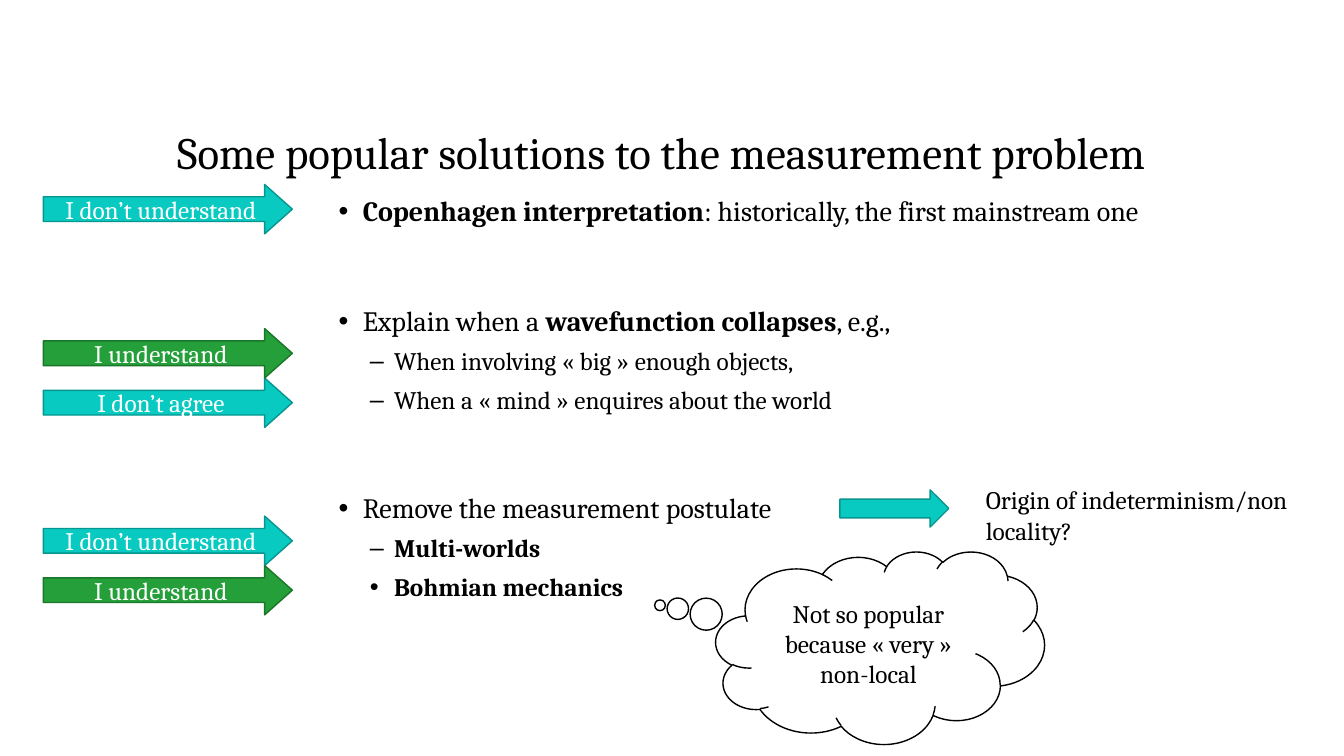
from dataclasses import dataclass

from lxml import etree
from pptx import Presentation
from pptx.dml.color import RGBColor
from pptx.enum.shapes import MSO_SHAPE
from pptx.enum.text import MSO_ANCHOR, PP_ALIGN
from pptx.oxml.ns import qn
from pptx.util import Inches, Pt

ARROW = MSO_SHAPE.RIGHT_ARROW
CLOUD = MSO_SHAPE.CLOUD_CALLOUT
TOP, MIDDLE, BOTTOM = MSO_ANCHOR.TOP, MSO_ANCHOR.MIDDLE, MSO_ANCHOR.BOTTOM
CENTER = PP_ALIGN.CENTER


@dataclass(frozen=True)
class Theme:
    font: str = "Cambria"
    bullet_font: str = "Arial"
    black: str = "000000"
    white: str = "FFFFFF"
    teal: tuple = ("08CAC1", "06958F")
    green: tuple = ("259F39", "1B762A")
    title_size: int = 32
    item_size: int = 20
    small_size: int = 18
    line_spacing: float = 0.9


THEME = Theme()

# Each item: level, bullet, space before in points, (text, bold) spans
SOLUTIONS = [
    (0, "•", 0, [("Copenhagen interpretation", True),
                 (": historically, the first mainstream one", False)]),
    (0, "•", 57, [("Explain when a ", False), ("wavefunction collapses", True),
                  (", e.g.,", False)]),
    (1, "–", 8, [("When involving « big » enough objects,", False)]),
    (1, "–", 8, [("When a « mind » enquires about the world", False)]),
    (0, "•", 57, [("Remove the measurement postulate", False)]),
    (1, "–", 8, [("Multi-worlds", True)]),
    (1, "•", 8, [("Bohmian mechanics", True)]),
]

# Each verdict: top, text, (fill, line)
VERDICTS = [
    (1.83, "I don’t understand", THEME.teal),
    (3.75, "I don’t agree", THEME.teal),
    (5.12, "I don’t understand", THEME.teal),
    (3.26, "I understand", THEME.green),
    (5.61, "I understand", THEME.green),
]


def style_span(span, size, color=THEME.black, bold=False):
    span.font.name = THEME.font
    span.font.size = Pt(size)
    span.font.bold = bold
    span.font.color.rgb = RGBColor.from_string(color)


def add_box(page, left, top, width, height, anchor=TOP):
    box = page.shapes.add_textbox(Inches(left), Inches(top),
                                  Inches(width), Inches(height))
    box.text_frame.word_wrap = True
    box.text_frame.vertical_anchor = anchor
    return box


def add_text(page, text, place, size, anchor=TOP, spacing=1.0):
    box = add_box(page, *place, anchor)
    box.text_frame.text = text
    para = box.text_frame.paragraphs[0]
    para.line_spacing = spacing
    style_span(para.runs[0], size)


def add_bullet(para, level, mark):
    para.level = level
    properties = para._p.get_or_add_pPr()
    properties.set("marL", str(Inches(0.55 if level else 0.24)))
    properties.set("indent", str(Inches(-0.24)))
    etree.SubElement(properties, qn("a:buFont"), typeface=THEME.bullet_font)
    etree.SubElement(properties, qn("a:buChar"), char=mark)


def add_list(page, items, place):
    frame = add_box(page, *place).text_frame
    for index, (level, mark, space, spans) in enumerate(items):
        para = frame.add_paragraph() if index else frame.paragraphs[0]
        add_bullet(para, level, mark)
        para.line_spacing = THEME.line_spacing
        para.space_before = Pt(space)
        for text, bold in spans:
            span = para.add_run()
            span.text = text
            size = THEME.small_size if level else THEME.item_size
            style_span(span, size, bold=bold)


def add_figure(page, kind, place, colors, adjustments, text="", color=THEME.black):
    fill, line = colors
    figure = page.shapes.add_shape(kind, *map(Inches, place))
    figure.shadow.inherit = False
    figure.fill.solid()
    figure.fill.fore_color.rgb = RGBColor.from_string(fill)
    figure.line.color.rgb = RGBColor.from_string(line)
    figure.line.width = Pt(1)
    for index, value in enumerate(adjustments):
        figure.adjustments[index] = value
    if text:
        frame = figure.text_frame
        frame.word_wrap = True
        frame.vertical_anchor = MIDDLE
        frame.text = text
        para = frame.paragraphs[0]
        para.alignment = CENTER
        style_span(para.runs[0], THEME.small_size, color)


def main():
    deck = Presentation()
    deck.slide_width, deck.slide_height = Inches(13.33), Inches(7.5)
    page = deck.slides.add_slide(deck.slide_layouts[6])

    # Title and list of solutions
    add_text(page, "Some popular solutions to the measurement problem",
             (1.66, 0.58, 10.86, 1.25), THEME.title_size, BOTTOM,
             THEME.line_spacing)
    add_list(page, SOLUTIONS, (3.26, 1.91, 10.5, 4.58))

    # Thought cloud about Bohmian mechanics
    add_figure(page, CLOUD, (7.1, 5.47, 3.26, 1.91), (THEME.white, THEME.black),
               (-0.67, -0.22), "Not so popular because « very » non-local")

    # Verdict arrows on the left
    for top, text, colors in VERDICTS:
        add_figure(page, ARROW, (0.43, top, 2.47, 0.49), colors,
                   (0.5, 0.56), text, THEME.white)

    # Open question on the right
    add_figure(page, ARROW, (8.33, 4.86, 1.08, 0.37), THEME.teal, (0.5, 0.5))
    add_text(page, "Origin of indeterminism/non locality?",
             (9.68, 4.76, 3.91, 0.71), THEME.small_size)

    deck.save("out.pptx")


if __name__ == "__main__":
    main()
